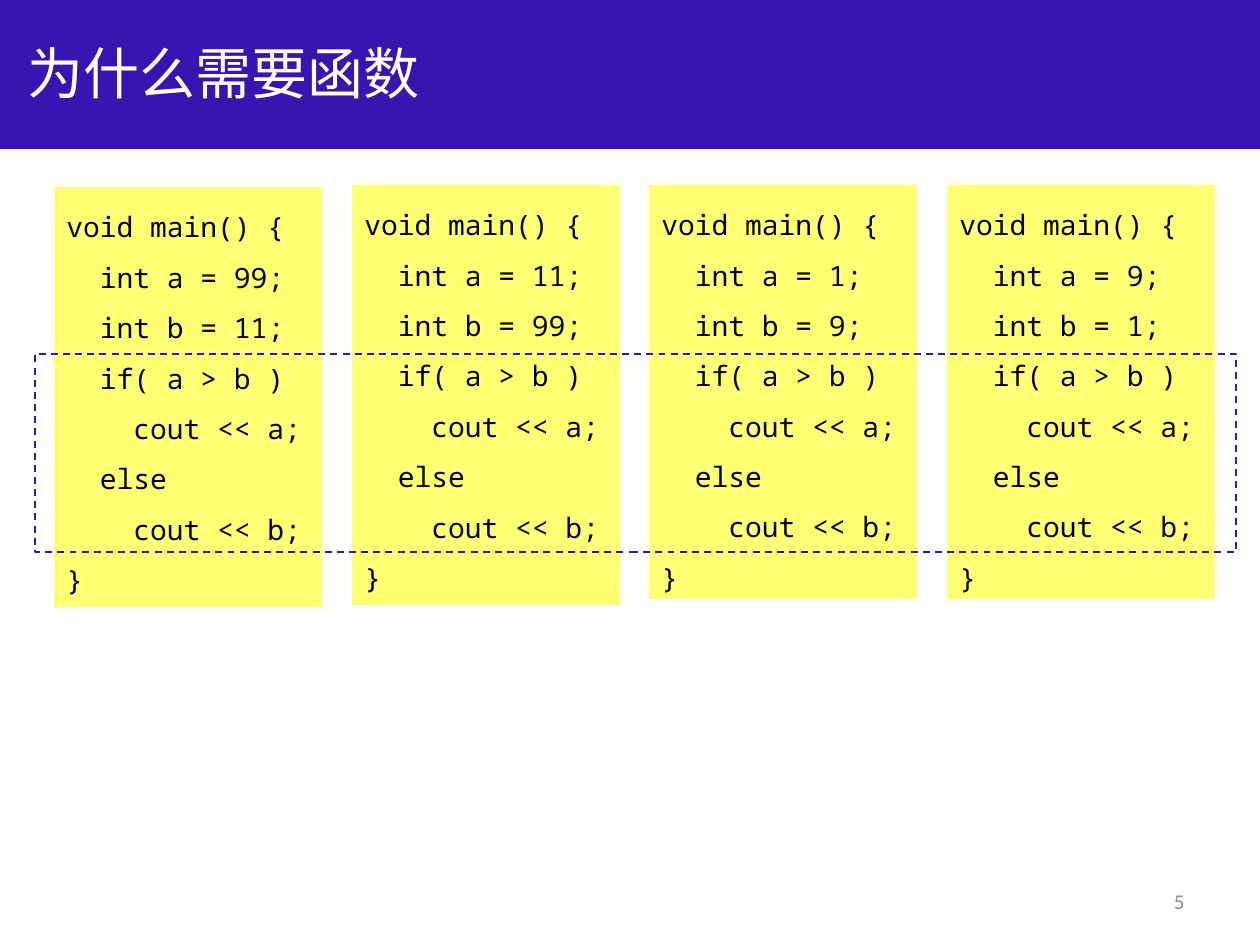
from dataclasses import dataclass

from pptx import Presentation
from pptx.dml.color import RGBColor
from pptx.enum.dml import MSO_LINE
from pptx.enum.shapes import MSO_SHAPE
from pptx.enum.text import MSO_ANCHOR, MSO_AUTO_SIZE, PP_ALIGN
from pptx.util import Pt

RECTANGLE = MSO_SHAPE.RECTANGLE
DASH = MSO_LINE.DASH
TOP, MIDDLE = MSO_ANCHOR.TOP, MSO_ANCHOR.MIDDLE
LEFT, RIGHT = PP_ALIGN.LEFT, PP_ALIGN.RIGHT
GROW, FIXED = MSO_AUTO_SIZE.SHAPE_TO_FIT_TEXT, MSO_AUTO_SIZE.NONE
TITLE_ONLY = 5
EMU_PER_INCH, PX_PER_INCH = 914400, 126


@dataclass(frozen=True)
class Theme:
    brand: RGBColor = RGBColor(0x38, 0x14, 0xB0)
    panel: RGBColor = RGBColor(0xFF, 0xFF, 0x73)
    white: RGBColor = RGBColor(0xFF, 0xFF, 0xFF)
    code: RGBColor = RGBColor(0, 0, 0)
    muted: RGBColor = RGBColor(0x8C, 0x8C, 0x8C)
    text_font: str = "Calibri"
    code_font: str = "Noto Sans Mono"
    title_size: int = 32
    code_size: int = 16
    number_size: int = 12


THEME = Theme()


def px(length):
    return round(length * EMU_PER_INCH / PX_PER_INCH)


def add_rectangle(page, box, fill=None):
    shape = page.shapes.add_shape(RECTANGLE, *map(px, box))
    shape.shadow.inherit = False
    shape.line.fill.background()
    if fill is None:
        shape.fill.background()
    else:
        shape.fill.solid()
        shape.fill.fore_color.rgb = fill
    return shape


def add_span(para, text, font, size, color):
    span = para.add_run()
    span.text = text
    span.font.name = font
    span.font.size = Pt(size)
    span.font.color.rgb = color


def add_header(page, box, text):
    """Coloured band with the title placeholder on top of it."""
    left, top, width, height = box
    title = page.shapes.title
    title.left, title.top = px(left + 15), px(top + 8)
    title.width, title.height = px(width - 126), px(height - 21)
    frame = title.text_frame
    frame.auto_size = FIXED
    frame.vertical_anchor = MIDDLE
    para = frame.paragraphs[0]
    para.alignment = LEFT
    add_span(para, text, THEME.text_font, THEME.title_size, THEME.white)
    band = add_rectangle(page, box, THEME.brand)
    title.element.addprevious(band.element)


def add_program(page, box, a, b):
    """Listing that prints the larger of two numbers."""
    frame = add_rectangle(page, box, THEME.panel).text_frame
    frame.word_wrap = True
    frame.auto_size = GROW
    frame.vertical_anchor = TOP
    lines = [
        "void main() {",
        f"  int a = {a};",
        f"  int b = {b};",
        "  if( a > b )",
        "    cout << a;",
        "  else",
        "    cout << b;",
        "}",
    ]
    for index, line in enumerate(lines):
        para = frame.add_paragraph() if index else frame.paragraphs[0]
        para.alignment = LEFT
        para.line_spacing = 1.5
        add_span(para, line, THEME.code_font, THEME.code_size, THEME.code)


def add_programs(page, box):
    """Row of equally spaced listings; the first sits slightly lower."""
    left, top, width, height = box
    panel_width = 268
    # Each entry: a, b, drop from the row's top, panel height
    programs = [(99, 11, 2, height), (11, 99, 0, height),
                (1, 9, 0, height - 6), (9, 1, 0, height - 6)]
    pitch = (width - panel_width) / (len(programs) - 1)
    for index, (a, b, drop, panel_height) in enumerate(programs):
        panel = (round(left + index * pitch), top + drop, panel_width, panel_height)
        add_program(page, panel, a, b)


def add_repeat_frame(page, box):
    """Dashed outline around the code all listings share."""
    line = add_rectangle(page, box).line
    line.color.rgb = THEME.brand
    line.width = Pt(1)
    line.dash_style = DASH


def add_page_number(page, box, number):
    frame = page.shapes.add_textbox(*map(px, box)).text_frame
    frame.word_wrap = True
    frame.vertical_anchor = MIDDLE
    para = frame.paragraphs[0]
    para.alignment = RIGHT
    add_span(para, str(number), THEME.text_font, THEME.number_size, THEME.muted)


def main():
    deck = Presentation()
    deck.slide_width, deck.slide_height = px(1260), px(945)
    page = deck.slides.add_slide(deck.slide_layouts[TITLE_ONLY])
    add_header(page, (0, 0, 1260, 149), "为什么需要函数")
    add_programs(page, (54, 185, 1161, 420))
    add_repeat_frame(page, (35, 354, 1201, 198))
    add_page_number(page, (903, 876, 294, 50), 5)
    deck.save("out.pptx")


if __name__ == "__main__":
    main()
